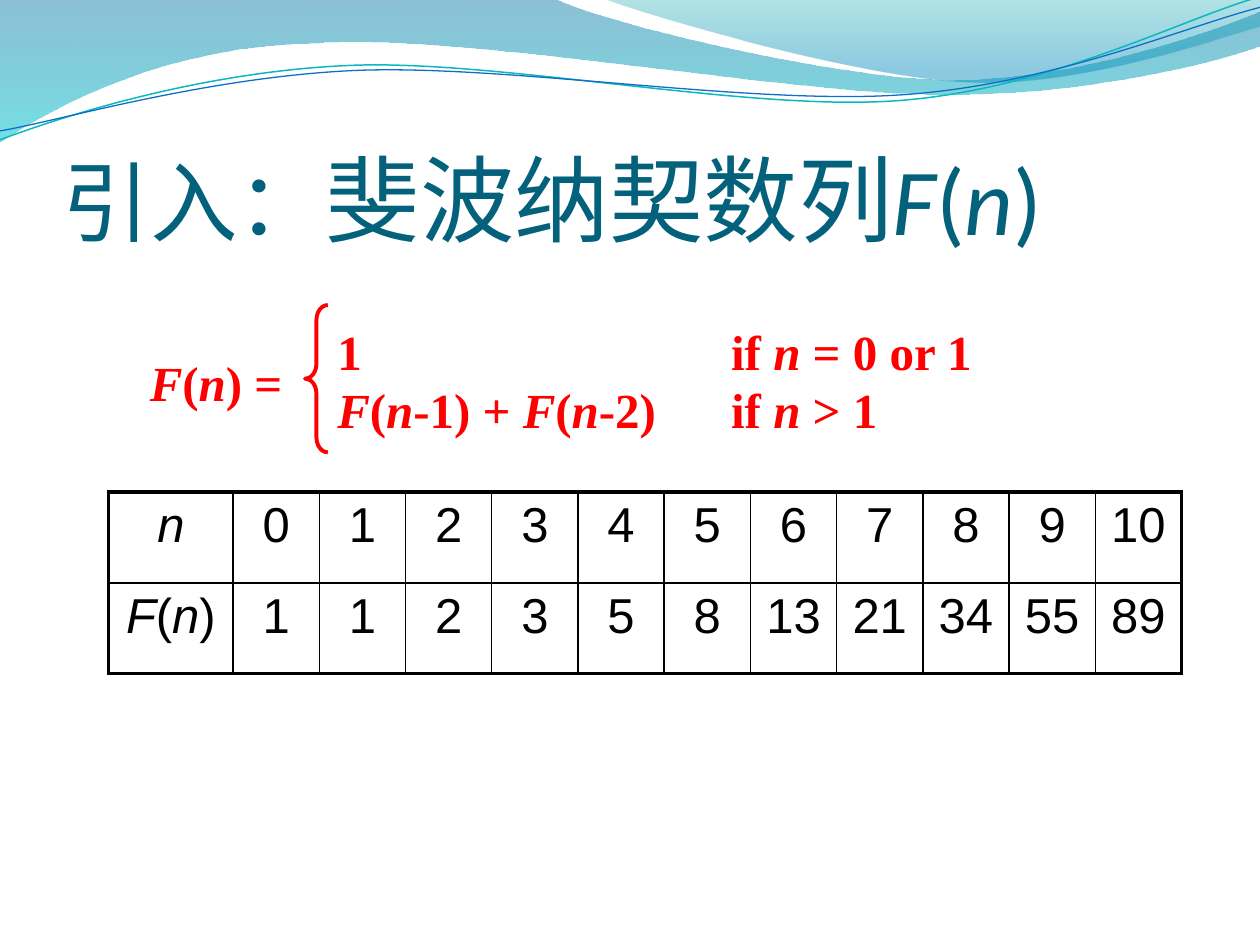
from lxml import etree
from pptx import Presentation
from pptx.dml.color import RGBColor
from pptx.enum.shapes import MSO_SHAPE
from pptx.enum.text import MSO_ANCHOR, MSO_AUTO_SIZE, PP_ALIGN
from pptx.oxml.ns import qn
from pptx.util import Cm, Pt

BRACE = MSO_SHAPE.LEFT_BRACE
BOTTOM = MSO_ANCHOR.BOTTOM
GROW = MSO_AUTO_SIZE.SHAPE_TO_FIT_TEXT
CENTER = PP_ALIGN.CENTER
RED = "FF0000"
rgb = RGBColor.from_string


def write(frame, text, size, font, color, bold=False, align=None, before=None, tab=None):
    """Fill a text frame, one paragraph a line; parts between asterisks are italic."""
    for row, line in enumerate(text.split("\n")):
        para = frame.add_paragraph() if row else frame.paragraphs[0]
        para.alignment = align
        para.space_before = before
        if tab is not None:
            stops = etree.SubElement(para._p.get_or_add_pPr(), qn("a:tabLst"))
            etree.SubElement(stops, qn("a:tab"), pos=str(tab), algn="l")
        for part, words in enumerate(line.split("*")):
            if words:
                run = para.add_run()
                run.text = words
                run.font.size = Pt(size)
                run.font.name = font
                run.font.bold = bold
                run.font.italic = part % 2 == 1
                run.font.color.rgb = rgb(color)


def trace(shapes, start, moves, closed):
    """Draw lines (x, y) and cubic curves (two handles and an end), in cm."""
    points = [(Cm(move[k]), Cm(move[k + 1]))
              for move in moves for k in range(0, len(move), 2)]
    pen = shapes.build_freeform(Cm(start[0]), Cm(start[1]))
    pen.add_line_segments(points, close=closed)
    shape = pen.convert_to_shape()
    shape.shadow.inherit = False
    lines = iter(list(shape._element.iter(qn("a:lnTo"))))
    for move in moves:
        line = next(lines)
        if len(move) == 6:
            line.tag = qn("a:cubicBezTo")
            for _ in range(2):
                extra = next(lines)
                line.append(extra[0])
                extra.getparent().remove(extra)
    return shape


deck = Presentation()
deck.slide_width, deck.slide_height = Cm(25.4), Cm(19.05)
slide = deck.slides.add_slide(deck.slide_layouts[6])
shapes = slide.shapes

# Waves: start, moves, gradient stops (position, colour, opacity in percent)
waves = [
    ((0, 0), [(11.18, -0.03), (12.09, 0.43, 16.87, 1.6, 19.25, 1.6),
              (21.67, 1.6, 24.33, 0.66, 25.4, 0.23), (25.43, 0.91),
              (24.97, 1.12, 22.1, 1.93, 18.95, 1.9),
              (15.8, 1.9, 9.7, 0.71, 6.53, 0.86),
              (3.28, 0.91, 1.17, 2.11, -0.03, 2.87), (0, 0)],
     [(0, "0074A1", 45), (1, "00C6CF", 55)]),
    ((12.17, -0.03), [(12.93, 0.28, 17.32, 1.57, 19.53, 1.65),
                      (21.74, 1.75, 24.41, 0.81, 25.4, 0.53), (25.4, 0),
                      (12.17, -0.03)],
     [(0, "00A1A9", 30), (0.8, "008BBF", 45)]),
]
for start, moves, blend in waves:
    wave = trace(shapes, start, moves, True)
    wave.line.fill.background()
    wave.fill.gradient()
    wave.fill.gradient_angle = 270
    for stop, (place, color, _) in zip(wave.fill.gradient_stops, blend):
        stop.position = place
        stop.color.rgb = rgb(color)
    for node, (_, _, alpha) in zip(wave._element.iter(qn("a:srgbClr")), blend):
        etree.SubElement(node, qn("a:alpha"), val=str(alpha * 1000))

# Thin lines along the waves
curves = [
    ((0, 2.82), [(1.22, 2.36, 4.01, 1.45, 7.04, 1.32),
                 (10.03, 1.19, 15.06, 2.26, 18.11, 2.03),
                 (21.16, 1.8, 23.83, 0.38, 25.35, -0.05)], "0AB8BF", 0.85),
    ((0, 2.64), [(1.19, 2.44, 4.17, 1.55, 7.19, 1.42),
                 (10.24, 1.3, 15.16, 2.13, 18.21, 1.91),
                 (21.23, 1.7, 23.9, 0.53, 25.4, 0.15)], "0F6FC6", 0.75),
]
for start, moves, color, width in curves:
    curve = trace(shapes, start, moves, False)
    curve.fill.background()
    curve.line.color.rgb = rgb(color)
    curve.line.width = Pt(width)

# Title
frame = shapes.add_textbox(Cm(1.27), Cm(1.96), Cm(22.86), Cm(3.17)).text_frame
frame.word_wrap = True
frame.vertical_anchor = BOTTOM
frame.margin_left = frame.margin_right = frame.margin_bottom = 0
write(frame, "引入：**斐波纳契数列*F*(*n*)", 54, "Calibri", "04617B")
frame.paragraphs[0].runs[0].font.size = Pt(50)

# Formula
cases = "1\tif *n* = 0 or 1\n*F*(*n*-1) + *F*(*n*-2)\tif *n* > 1"
formula = [
    ((2.77, 6.99, 3.66, 1.45), "*F*(*n*) =", False, None),
    ((6.55, 6.35, 13.44, 2.64), cases, True, Cm(7.94)),
]
for box, text, wrap, tab in formula:
    frame = shapes.add_textbox(*map(Cm, box)).text_frame
    frame.word_wrap = wrap
    frame.auto_size = GROW
    write(frame, text, 28, "Times New Roman", RED, bold=True, tab=tab)

brace = shapes.add_shape(BRACE, Cm(6.15), Cm(6.15), Cm(0.46), Cm(2.97))
brace.adjustments[0] = 0.65
brace.shadow.inherit = False
brace.fill.background()
brace.line.color.rgb = rgb(RED)
brace.line.width = Pt(2.25)

# Table of values
series = [1, 1]
while len(series) < 11:
    series.append(series[-1] + series[-2])
rows = [["*n*", *range(11)], ["*F*(*n*)", *series]]
table = shapes.add_table(2, 12, Cm(2.19), Cm(9.92), Cm(21.63), Cm(3.66)).table
table.first_row = table.horz_banding = False
for c, column in enumerate(table.columns):
    column.width = Cm(19.12) // 11 if c else Cm(2.51)
for r, values in enumerate(rows):
    table.rows[r].height = Cm(1.83)
    for c, value in enumerate(values):
        cell = table.cell(r, c)
        write(cell.text_frame, str(value), 28, "Arial", "000000",
              align=CENTER, before=Pt(5.6))
        props = cell._tc.get_or_add_tcPr()
        for side, outer in zip("LRTB", (c == 0, c == 11, r == 0, r == 1)):
            edge = etree.SubElement(props, qn("a:ln" + side),
                                    w=str(Pt(2.25 if outer else 1)))
            fill = etree.SubElement(edge, qn("a:solidFill"))
            etree.SubElement(fill, qn("a:srgbClr"), val="000000")
        cell.fill.background()

deck.save("out.pptx")
